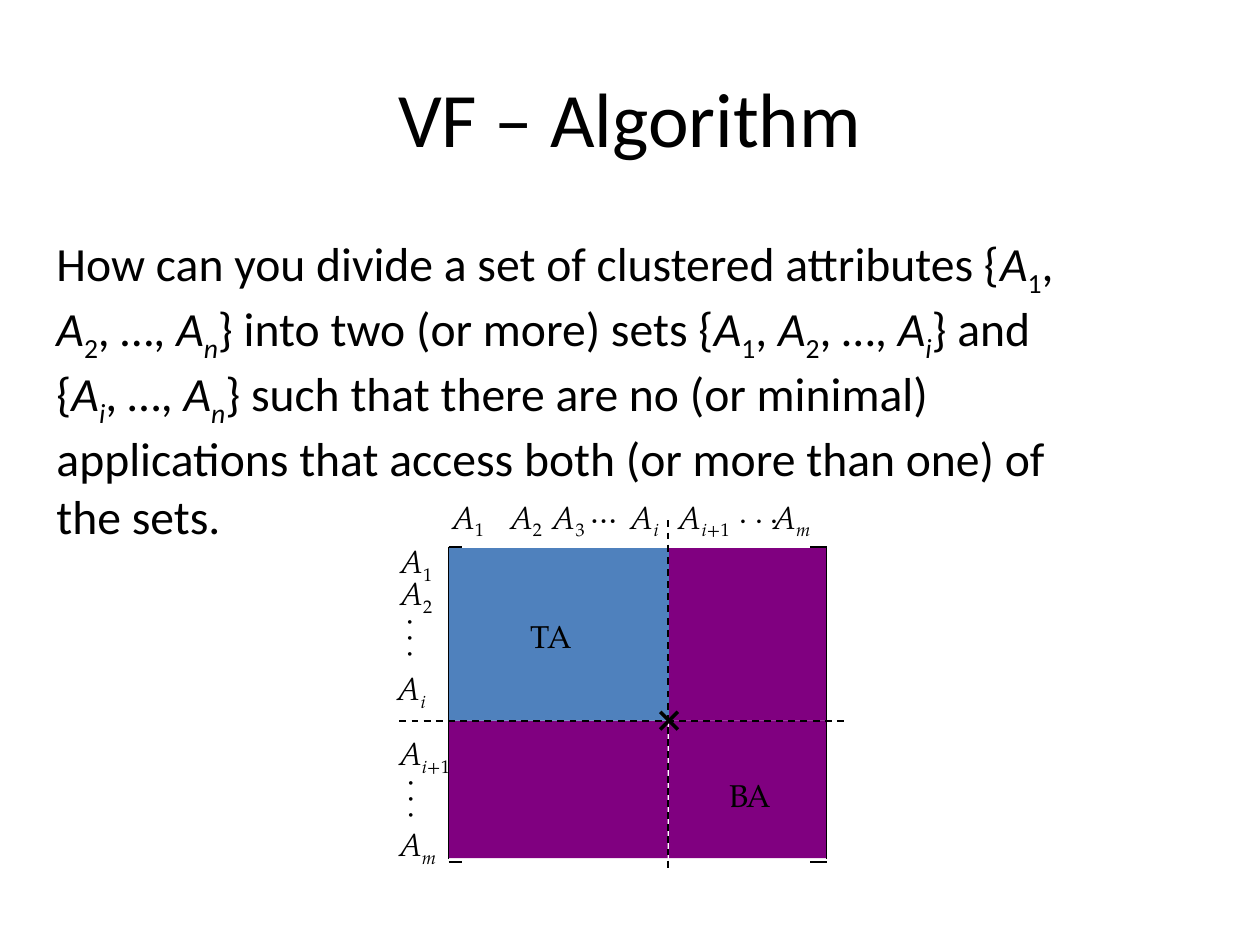
from dataclasses import dataclass

from lxml import etree
from pptx import Presentation
from pptx import util as u
from pptx.dml.color import RGBColor
from pptx.enum import dml, shapes, text
from pptx.oxml.ns import qn


@dataclass(frozen=True)
class Theme:
    ink: RGBColor = RGBColor(0x00, 0x00, 0x00)
    access_both: RGBColor = RGBColor(0x80, 0x00, 0x80)
    top_block: RGBColor = RGBColor(0x4F, 0x81, 0xBD)
    heading_font: str = "Calibri"
    math_font: str = "TeX Gyre Pagella"
    title_size: float = 44
    body_size: float = 27.2
    label_size: float = 18
    thin: float = 1
    thick: float = 2


THEME = Theme()
WIDTH, HEIGHT = 10, 7.5

# Matrix grid in inches: left edge, split and right edge; top, split and bottom
LEFT, SPLIT_X, RIGHT = 3.56, 5.31, 6.56
TOP, SPLIT_Y, BOTTOM = 4.35, 5.72, 6.81
LABEL_HEIGHT = 0.4

# "|" separates runs, "_" starts a subscript, single letters are italic
QUESTION = (
    "How can you divide a set of clustered attributes "
    "{|A|_1|, |A|_2|, …, |A|_n|} into two (or more) sets "
    "{|A|_1|, |A|_2|, …, |A|_i|} and {|A|_i|, …, |A|_n|} such that there are no "
    "(or minimal) applications that access both (or more than one) of the sets."
)
# Attribute, left, width
COLUMN_LABELS = [
    ("A|_1", 3.49, 0.48), ("A|_2", 3.95, 0.48), ("A|_3", 4.29, 0.48),
    ("A|_i", 4.91, 0.47), ("A|_i|_+1", 5.29, 0.63), ("A|_m", 6.04, 0.55),
]
# Attribute, left, top, width
ROW_LABELS = [
    ("A|_1", 3.08, 4.25, 0.48), ("A|_2", 3.08, 4.51, 0.48),
    ("A|_i", 3.06, 5.26, 0.47), ("A|_i|_+1", 3.07, 5.78, 0.63),
    ("A|_m", 3.07, 6.5, 0.55),
]


def add_runs(paragraph, markup):
    for part in markup.split("|"):
        run = paragraph.add_run()
        run.text = part.removeprefix("_")
        run.font.italic = len(run.text) == 1 and run.text.isalpha()
        if part.startswith("_"):
            run.font._element.set("baseline", "-25000")


def add_text(slide, markup, left, top, width, height, size, font, wrap=True):
    box = slide.shapes.add_textbox(*map(u.Inches, (left, top, width, height)))
    frame = box.text_frame
    frame.word_wrap = wrap
    paragraph = frame.paragraphs[0]
    paragraph.font.size = u.Pt(size)
    paragraph.font.name = font
    paragraph.font.color.rgb = THEME.ink
    add_runs(paragraph, markup)
    return box


def add_label(slide, markup, left, top, width, rotation=0):
    box = add_text(slide, markup, left, top, width, LABEL_HEIGHT,
                   THEME.label_size, THEME.math_font, wrap=False)
    box.text_frame.auto_size = text.MSO_AUTO_SIZE.SHAPE_TO_FIT_TEXT
    box.rotation = rotation


def add_block(slide, left, top, right, bottom, color):
    shape = slide.shapes.add_shape(
        shapes.MSO_SHAPE.RECTANGLE,
        *map(u.Inches, (left, top, right - left, bottom - top)))
    shape.shadow.inherit = False
    shape.fill.solid()
    shape.fill.fore_color.rgb = color
    shape.line.fill.background()


def add_line(slide, x1, y1, x2, y2, weight=THEME.thin, dashed=False):
    line = slide.shapes.add_connector(
        shapes.MSO_CONNECTOR.STRAIGHT, *map(u.Inches, (x1, y1, x2, y2)))
    line.line.color.rgb = THEME.ink
    line.line.width = u.Pt(weight)
    if dashed:
        line.line.dash_style = dml.MSO_LINE.DASH
    etree.SubElement(line._element.spPr, qn("a:effectLst"))


def add_bracket(slide, x, tick):
    add_line(slide, x, TOP - 0.01, x, BOTTOM + 0.01)
    for y in (TOP - 0.01, BOTTOM + 0.03):
        add_line(slide, x, y, x + tick, y)


def add_heading(slide):
    title = add_text(slide, "VF – Algorithm", 0.05 * WIDTH, 0.04 * HEIGHT,
                     0.9 * WIDTH, HEIGHT / 6, THEME.title_size, THEME.heading_font)
    title.text_frame.vertical_anchor = text.MSO_ANCHOR.MIDDLE
    title.text_frame.paragraphs[0].alignment = text.PP_ALIGN.CENTER
    body = add_text(slide, QUESTION, 0.35, 1.81, 8.17, 1.94,
                    THEME.body_size, THEME.heading_font)
    body.text_frame.paragraphs[0].space_before = u.Pt(0.2 * THEME.body_size)


def add_attribute_labels(slide):
    for markup, left, top, width in ROW_LABELS:
        add_label(slide, markup, left, top, width)
    for markup, left, width in COLUMN_LABELS:
        add_label(slide, markup, left, 3.9, width)
    add_label(slide, "…", 4.59, 3.86, 0.46)
    add_label(slide, ". . .", 5.77, 3.86, 0.52)
    for left, top in ((3.09, 6.15), (3.08, 4.87)):
        add_label(slide, ". . .", left, top, 0.52, rotation=89)


def add_matrix(slide):
    # Blocks; a hairline gap separates the two lower ones
    add_block(slide, SPLIT_X, TOP, RIGHT, SPLIT_Y, THEME.access_both)
    add_block(slide, LEFT, SPLIT_Y, SPLIT_X - 0.01, BOTTOM, THEME.access_both)
    add_block(slide, SPLIT_X, SPLIT_Y, RIGHT, BOTTOM, THEME.access_both)
    add_block(slide, LEFT, TOP, SPLIT_X, SPLIT_Y, THEME.top_block)
    add_label(slide, "TA", 4.11, 4.85, 0.54)
    add_label(slide, "BA", 5.69, 6.11, 0.56)

    # Matrix brackets
    add_bracket(slide, LEFT, 0.11)
    add_bracket(slide, RIGHT, -0.13)

    # Split lines and the cross on the diagonal
    add_line(slide, SPLIT_X - 0.01, 4.13, SPLIT_X - 0.01, 6.92, dashed=True)
    add_line(slide, 3.17, SPLIT_Y, 6.7, SPLIT_Y, dashed=True)
    arm = 0.07
    for slope in (arm, -arm):
        add_line(slide, SPLIT_X - arm, SPLIT_Y - slope,
                 SPLIT_X + arm, SPLIT_Y + slope, THEME.thick)


def main():
    presentation = Presentation()
    presentation.slide_width = u.Inches(WIDTH)
    presentation.slide_height = u.Inches(HEIGHT)
    slide = presentation.slides.add_slide(presentation.slide_layouts[6])
    add_heading(slide)
    add_attribute_labels(slide)
    add_matrix(slide)
    presentation.save("out.pptx")


if __name__ == "__main__":
    main()
